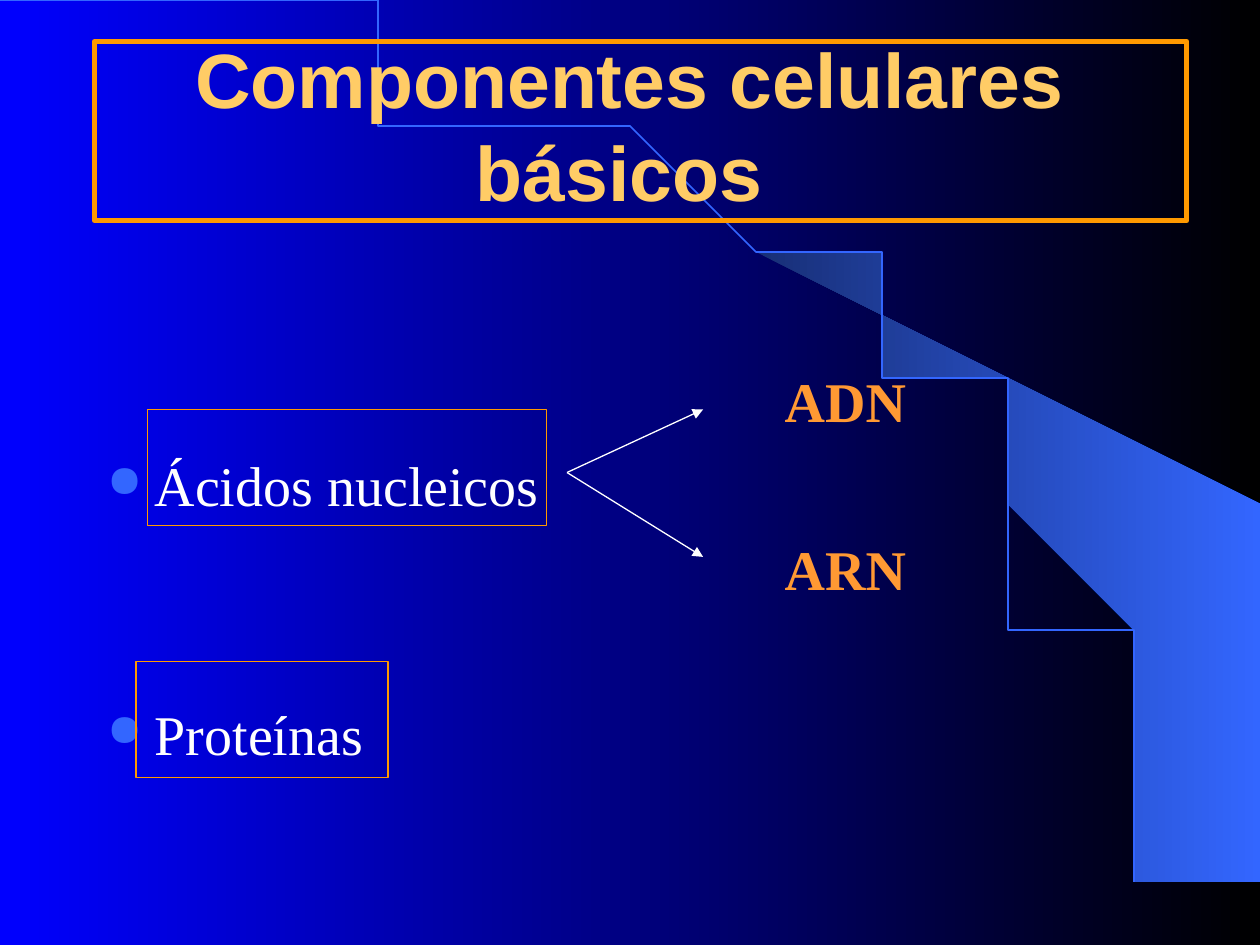
import math

import pptx
import pptx.dml.color
import pptx.enum.shapes
import pptx.enum.text
import pptx.oxml
import pptx.oxml.ns
import pptx.util

Inches = pptx.util.Inches
Pt = pptx.util.Pt


def color(value):
    return pptx.dml.color.RGBColor.from_string(value)


def add_element(parent, tag, **attributes):
    element = pptx.oxml.parse_xml(f"<a:{tag} {pptx.oxml.ns.nsdecls('a')}/>")
    for name, value in attributes.items():
        element.set(name, value)
    parent.append(element)
    return element


presentation = pptx.Presentation()
presentation.slide_width = Inches(10)
presentation.slide_height = Inches(7.5)
slide = presentation.slides.add_slide(presentation.slide_layouts[6])
shapes = slide.shapes

swoosh_points = [
    (9.2, 7.48), (9.99, 7.49), (9.99, 4.23), (5.89, 1.73), (6.24, 1.99), (6.53, 2.22),
    (6.85, 2.5), (7.16, 2.8), (7.62, 3.3), (8.03, 3.84), (8.32, 4.31), (8.58, 4.79),
    (8.78, 5.28), (8.93, 5.72), (9.03, 6.09), (9.13, 6.56), (9.17, 6.96),
]
builder = shapes.build_freeform(*swoosh_points[0], scale=Inches(1))
builder.add_line_segments(swoosh_points[1:], close=True)
swoosh = builder.convert_to_shape()
swoosh.shadow.inherit = False
swoosh.line.fill.background()

for fill, stops in (
    (slide.background.fill, ("0000FF", "000000")),
    (swoosh.fill, ("182F76", "3366FF")),
):
    fill.gradient()
    fill.gradient_angle = 0
    for stop, value, position in zip(fill.gradient_stops, stops, (0, 1)):
        stop.color.rgb = color(value)
        stop.position = position

steps = 90
angles = [math.pi / 2 * step / steps for step in range(1, steps + 1)]
builder = shapes.build_freeform(0, 0, scale=Inches(1))
builder.add_line_segments(
    [(9.2 * math.sin(angle), 7.49 * (1 - math.cos(angle))) for angle in angles], close=False
)
arc = builder.convert_to_shape()
arc.shadow.inherit = False
arc.fill.background()
arc.line.color.rgb = color("3366FF")
arc.line.width = Pt(1)

title = shapes.add_textbox(Inches(0.75), Inches(0.36), Inches(8.5), Inches(1.25))
title.text_frame.word_wrap = True
title.text_frame.vertical_anchor = pptx.enum.text.MSO_ANCHOR.MIDDLE
paragraph = title.text_frame.paragraphs[0]
paragraph.text = "Componentes celulares básicos "
paragraph.alignment = pptx.enum.text.PP_ALIGN.CENTER
paragraph.font.name = "Arial"
paragraph.font.size = Pt(44)
paragraph.font.bold = True
paragraph.font.color.rgb = color("FFCC66")

body = shapes.add_textbox(Inches(0.75), Inches(2.86), Inches(8.5), Inches(3.81))
body.text_frame.word_wrap = True
for index, (text, bulleted, space) in enumerate([
    ("ADN", False, 0),
    ("Ácidos nucleicos", True, 9.5),
    ("ARN", False, 9.5),
    ("Proteínas", True, 56),
]):
    paragraph = body.text_frame.add_paragraph() if index else body.text_frame.paragraphs[0]
    paragraph.text = text
    paragraph.space_before = Pt(space)
    properties = paragraph._p.get_or_add_pPr()
    properties.set("marL", str(Inches(0.38 if bulleted else 5.38)))
    properties.set("indent", str(Inches(-0.38 if bulleted else 0)))
    if bulleted:
        add_element(add_element(properties, "buClr"), "srgbClr", val="3366FF")
        add_element(properties, "buSzPct", val="80000")
        add_element(properties, "buChar", char="●")
    paragraph.font.name = "Times New Roman"
    paragraph.font.size = Pt(32)
    paragraph.font.bold = not bulleted
    paragraph.font.color.rgb = color("FFFFFF" if bulleted else "FF9933")

for end_y in (3.25, 4.42):
    arrow = shapes.add_connector(
        pptx.enum.shapes.MSO_CONNECTOR.STRAIGHT,
        Inches(4.5), Inches(3.75), Inches(5.58), Inches(end_y),
    )
    arrow.line.color.rgb = color("FFFFFF")
    arrow.line.width = Pt(0.75)
    add_element(arrow.line._get_or_add_ln(), "tailEnd", type="triangle")
    add_element(arrow._element.spPr, "effectLst")

for left, top, width, height, weight in (
    (1.17, 3.25, 3.17, 0.92, 0.75),
    (1.08, 5.25, 2, 0.92, 0.75),
    (0.75, 0.33, 8.67, 1.42, 3),
):
    frame = shapes.add_shape(
        pptx.enum.shapes.MSO_SHAPE.RECTANGLE,
        Inches(left), Inches(top), Inches(width), Inches(height),
    )
    frame.shadow.inherit = False
    frame.fill.background()
    frame.line.color.rgb = color("FF9900")
    frame.line.width = Pt(weight)

presentation.save("out.pptx")
